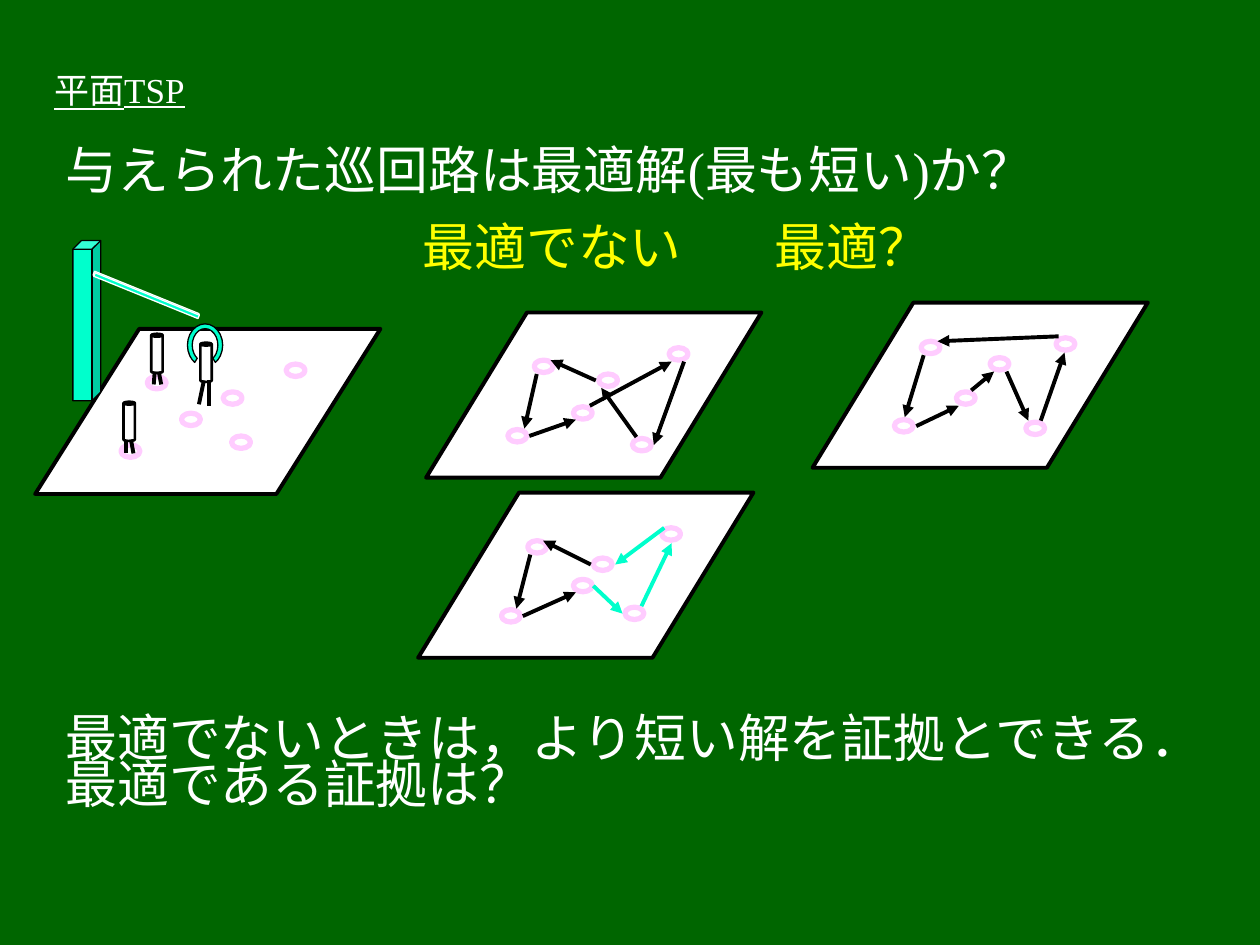
from dataclasses import dataclass

from lxml.etree import SubElement
from pptx import Presentation
from pptx.dml.color import RGBColor
from pptx.enum.shapes import MSO_CONNECTOR as Connector, MSO_SHAPE as Preset
from pptx.enum.text import MSO_ANCHOR as Anchor
from pptx.oxml.ns import qn
from pptx.util import Cm, Pt

WHITE, BLACK, YELLOW = "FFFFFF", "000000", "FFFF00"
GREEN, MINT, PINK = "006600", "00FFCC", "FFCCFF"
FONT = "Times New Roman"
BODY_SIZE = 29.6
Point = tuple[float, float]
Segment = tuple[float, float, float, float]


@dataclass
class Board:
    """A plane with cities (left, top) and tour steps, all in cm."""
    left: float
    top: float
    cities: list[Point]
    steps: list[Segment]
    better_steps: list[Segment]
    width: float = 6.76
    slant: float = 0.611


@dataclass
class Person:
    """A body position and its legs (offsets from the body), in cm."""
    left: float
    top: float
    legs: list[Segment]


PEOPLE_BOARD = Board(
    0.71, 6.63,
    [(2.97, 7.59), (2.44, 8.97), (4.5, 7.9), (3.66, 8.33), (5.77, 7.34), (4.67, 8.79)],
    [], [], width=6.96, slant=0.63)

TOUR_BOARDS = [
    # Crossing tour
    Board(8.59, 6.3,
          [(10.77, 7.26), (10.24, 8.66), (12.07, 7.54),
           (11.56, 8.2), (13.49, 7.01), (12.75, 8.84)],
          [(10.82, 7.54, 10.57, 8.64), (10.67, 8.79, 11.61, 8.46),
           (11.89, 8.18, 13.54, 7.29), (13.79, 7.29, 13.18, 8.97),
           (12.83, 8.81, 12.12, 7.82), (12.01, 7.67, 11.1, 7.26)], []),
    # Shorter tour, improved part in mint
    Board(8.43, 9.93,
          [(10.64, 10.9), (10.11, 12.29), (11.96, 11.25),
           (11.56, 11.68), (13.34, 10.64), (12.6, 12.24)],
          [(10.69, 11.18, 10.41, 12.27), (10.54, 12.42, 11.61, 11.94),
           (11.91, 11.38, 10.95, 10.9)],
          [(11.96, 11.81, 12.55, 12.37), (12.93, 12.22, 13.54, 10.95),
           (13.39, 10.64, 12.4, 11.38)]),
    # Possibly optimal tour
    Board(16.38, 6.1,
          [(18.57, 6.88), (18.03, 8.46), (19.96, 7.21),
           (19.28, 7.9), (21.29, 6.81), (20.68, 8.51)],
          [(18.62, 7.16, 18.24, 8.41), (18.47, 8.59, 19.33, 8.18),
           (19.58, 7.87, 20.04, 7.49), (20.29, 7.49, 20.73, 8.48),
           (20.98, 8.48, 21.46, 7.11), (21.34, 6.78, 18.9, 6.88)], []),
]

WAITING_PEOPLE = [
    Person(2.49, 8.1, [(0.05, 0.76, 0.05, 1.04), (0.15, 0.76, 0.2, 1.04)]),
    Person(3.05, 6.73, [(0.07, 0.76, 0.05, 1.02), (0.15, 0.76, 0.2, 1.02)]),
]
LIFTED_PERSON = Person(4.04, 6.91, [(0.07, 0.76, -0.03, 1.24), (0.18, 0.76, 0.18, 1.27)])


def paint(color_format, color: str) -> None:
    color_format.rgb = RGBColor.from_string(color)


def add_preset(shapes, preset, left: float, top: float, width: float, height: float, *,
               fill: str = WHITE, line: str = BLACK, weight: float = 0.75,
               adjust: tuple = (), rotation: float = 0):
    shape = shapes.add_shape(preset, Cm(left), Cm(top), Cm(width), Cm(height))
    shape.shadow.inherit = False
    shape.fill.solid()
    paint(shape.fill.fore_color, fill)
    paint(shape.line.color, line)
    shape.line.width = Pt(weight)
    shape.rotation = rotation
    for index, value in enumerate(adjust):
        shape.adjustments[index] = value
    return shape


def add_line(shapes, segment: Segment, color: str = BLACK, arrow: bool = False) -> None:
    connector = shapes.add_connector(Connector.STRAIGHT, *map(Cm, segment))
    paint(connector.line.color, color)
    connector.line.width = Pt(2.25)
    if arrow:
        SubElement(connector.line._get_or_add_ln(), qn("a:tailEnd"), type="triangle")
    SubElement(connector._element.spPr, qn("a:effectLst"))


def add_board(shapes, board: Board) -> None:
    add_preset(shapes, Preset.PARALLELOGRAM, board.left, board.top, board.width, 3.33,
               weight=2.25, adjust=(board.slant,))
    for left, top in board.cities:
        add_preset(shapes, Preset.OVAL, left, top, 0.38, 0.25, line=PINK, weight=3)
    for color, steps in ((BLACK, board.steps), (MINT, board.better_steps)):
        for step in steps:
            add_line(shapes, step, color, arrow=True)


def add_person(shapes, person: Person) -> None:
    add_preset(shapes, Preset.CAN, person.left, person.top, 0.23, 0.79,
               weight=1.5, adjust=(0.25,))
    for x1, y1, x2, y2 in person.legs:
        add_line(shapes, (person.left + x1, person.top + y1,
                          person.left + x2, person.top + y2))


def add_crane(shapes) -> None:
    add_preset(shapes, Preset.CUBE, 1.47, 4.85, 0.56, 3.23, fill=MINT, adjust=(0.312,))
    add_preset(shapes, Preset.BLOCK_ARC, 3.78, 6.53, 0.71, 0.86, fill=MINT,
               adjust=(72.578, 35.422, 0.136))
    add_preset(shapes, Preset.CUBE, 2.9, 4.8, 0.1, 2.29, fill=MINT, line=WHITE,
               adjust=(0.25,), rotation=292.1)


def add_box(slide, left: float, top: float, width: float, height: float, anchor):
    frame = slide.shapes.add_textbox(Cm(left), Cm(top), Cm(width), Cm(height)).text_frame
    frame.word_wrap = True
    frame.vertical_anchor = anchor
    return frame


def write(paragraph, text: str, *, size: float = BODY_SIZE, color: str = WHITE,
          underline: bool = False, before: float = 0, spacing: float = 0,
          tabs: tuple = ()) -> None:
    paragraph.space_before = Pt(before)
    if spacing:
        paragraph.line_spacing = Pt(spacing)
    if tabs:
        tab_list = SubElement(paragraph._p.get_or_add_pPr(), qn("a:tabLst"))
        for position in tabs:
            SubElement(tab_list, qn("a:tab"), pos=str(Cm(position)), algn="l")
    run = paragraph.add_run()
    run.text = text
    run.font.name = FONT
    run.font.size = Pt(size)
    run.font.underline = underline
    paint(run.font.color, color)


def main() -> None:
    presentation = Presentation()
    presentation.slide_width, presentation.slide_height = Cm(25.4), Cm(19.05)
    slide = presentation.slides.add_slide(presentation.slide_layouts[6])
    slide.background.fill.solid()
    paint(slide.background.fill.fore_color, GREEN)

    # Title
    title = add_box(slide, 0.84, 1.27, 22.43, 1.07, Anchor.MIDDLE)
    write(title.paragraphs[0], "平面TSP", size=20, underline=True)

    # Question, board headings and conclusion
    body = add_box(slide, 1.07, 2.64, 23.5, 14.3, Anchor.TOP)
    write(body.paragraphs[0], "与えられた巡回路は最適解(最も短い)か？", spacing=36)
    write(body.add_paragraph(), "\t最適でない\t最適？", color=YELLOW,
          before=8, spacing=36, tabs=(7.2, 14.3))
    write(body.add_paragraph(), "最適でないときは，より短い解を証拠とできる．",
          before=244.5, spacing=36)
    write(body.add_paragraph(), "最適である証拠は？", before=8, spacing=18.3)

    # Board with people and a crane
    scene = slide.shapes.add_group_shape().shapes
    add_board(scene, PEOPLE_BOARD)
    for person in WAITING_PEOPLE:
        add_person(scene, person)
    add_crane(scene)
    add_person(scene, LIFTED_PERSON)

    # Boards with tours
    for board in TOUR_BOARDS:
        add_board(slide.shapes.add_group_shape().shapes, board)

    presentation.save("out.pptx")


if __name__ == "__main__":
    main()
